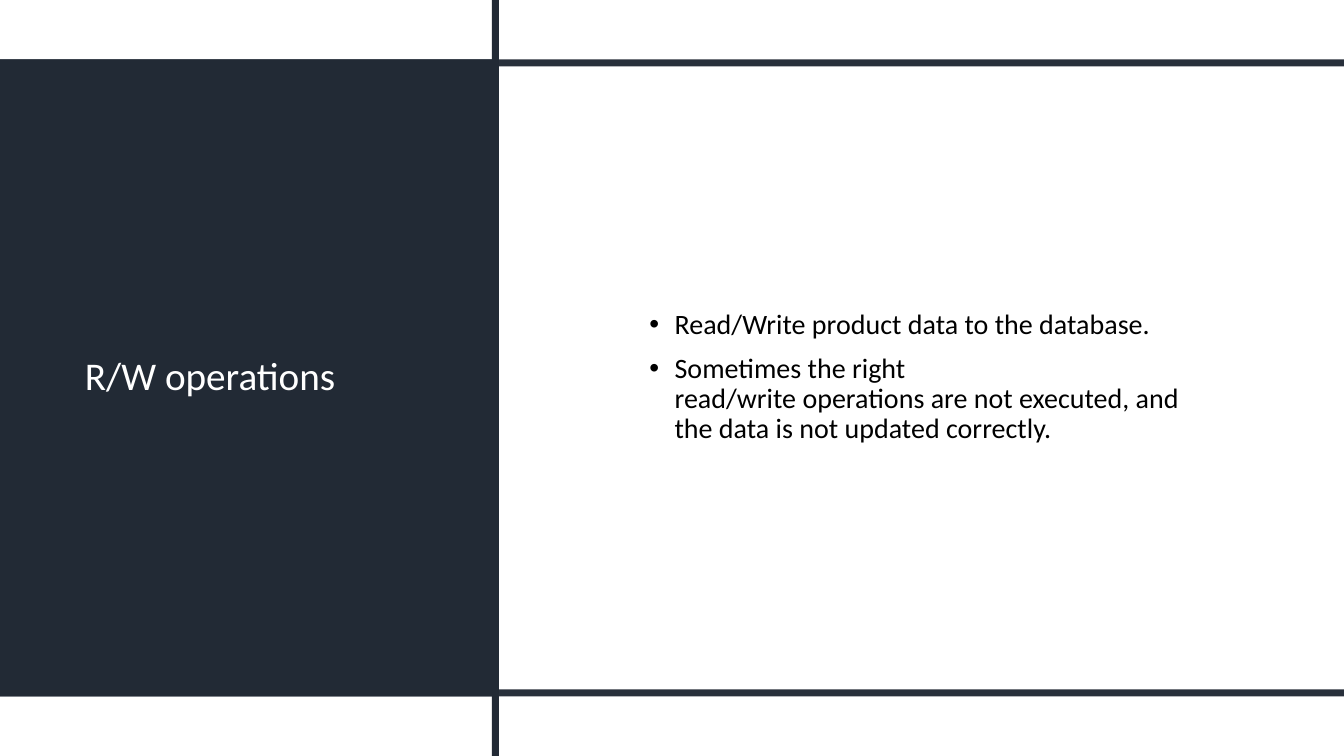
from dataclasses import dataclass

from lxml.etree import SubElement
from pptx import Presentation
from pptx.dml.color import RGBColor
from pptx.enum.shapes import MSO_SHAPE
from pptx.enum.text import MSO_ANCHOR
from pptx.oxml.ns import qn
from pptx.slide import Slide
from pptx.util import Pt

COLORS = {"navy": "222A35", "white": "FFFFFF", "black": "000000"}
WIDTH, HEIGHT = 960, 540
BAND = 5
PANEL_TOP, PANEL_WIDTH, PANEL_HEIGHT = 42.5, 356.4, 455
TEXT_TOP, TEXT_HEIGHT = 114.5, 310.3
BULLET_INDENT = 18
NO_BREAK_SPACE = chr(160)
UNBROKEN_PHRASE = NO_BREAK_SPACE.join(["read/write", "operations", "are", "not"])


@dataclass
class Block:
    left: float
    top: float
    width: float
    height: float
    opacity: int = 100


@dataclass
class Passage:
    left: float
    width: float
    size: float
    color: str
    lines: list[str]
    bulleted: bool = False


BLOCKS = [
    Block(0, PANEL_TOP, PANEL_WIDTH, PANEL_HEIGHT),
    Block(0, PANEL_TOP, WIDTH, BAND, 97),
    Block(0, PANEL_TOP + PANEL_HEIGHT - BAND, WIDTH, BAND, 97),
    Block(PANEL_WIDTH - BAND, 0, BAND, HEIGHT),
]
PASSAGES = [
    Passage(53.6, 244, 28, "white", ["R/W operations"]),
    Passage(456.8, 420.5, 20, "black", [
        "Read/Write product data to the database.",
        f"Sometimes the right {UNBROKEN_PHRASE} executed, "
        "and the data is not updated correctly.",
    ], bulleted=True),
]


def draw_block(slide: Slide, block: Block) -> None:
    bar = slide.shapes.add_shape(
        MSO_SHAPE.RECTANGLE,
        Pt(block.left), Pt(block.top), Pt(block.width), Pt(block.height),
    )
    bar.shadow.inherit = False
    bar.line.fill.background()
    bar.fill.solid()
    bar.fill.fore_color.rgb = RGBColor.from_string(COLORS["navy"])
    if block.opacity < 100:
        tint = bar.fill._xPr.find(qn("a:solidFill"))[0]
        SubElement(tint, qn("a:alpha"), val=str(block.opacity * 1000))


def draw_passage(slide: Slide, passage: Passage) -> None:
    frame = slide.shapes.add_textbox(
        Pt(passage.left), Pt(TEXT_TOP), Pt(passage.width), Pt(TEXT_HEIGHT)
    ).text_frame
    frame.word_wrap = True
    frame.vertical_anchor = MSO_ANCHOR.MIDDLE
    frame.text = "\n".join(passage.lines)
    font_format = {"name": "Calibri", "size": Pt(passage.size)}
    for paragraph in frame.paragraphs:
        paragraph.line_spacing = 0.9
        for run in paragraph.runs:
            for attribute, value in font_format.items():
                setattr(run.font, attribute, value)
            run.font.color.rgb = RGBColor.from_string(COLORS[passage.color])
        if passage.bulleted:
            paragraph.space_before = Pt(10)
            properties = paragraph._p.get_or_add_pPr()
            properties.set("marL", str(Pt(BULLET_INDENT)))
            properties.set("indent", str(-Pt(BULLET_INDENT)))
            SubElement(properties, qn("a:buFont"), typeface="Arial")
            SubElement(properties, qn("a:buChar"), char="•")


def main() -> None:
    deck = Presentation()
    deck.slide_width, deck.slide_height = Pt(WIDTH), Pt(HEIGHT)
    slide = deck.slides.add_slide(deck.slide_layouts[6])
    for block in BLOCKS:
        draw_block(slide, block)
    for passage in PASSAGES:
        draw_passage(slide, passage)
    deck.save("out.pptx")


if __name__ == "__main__":
    main()
